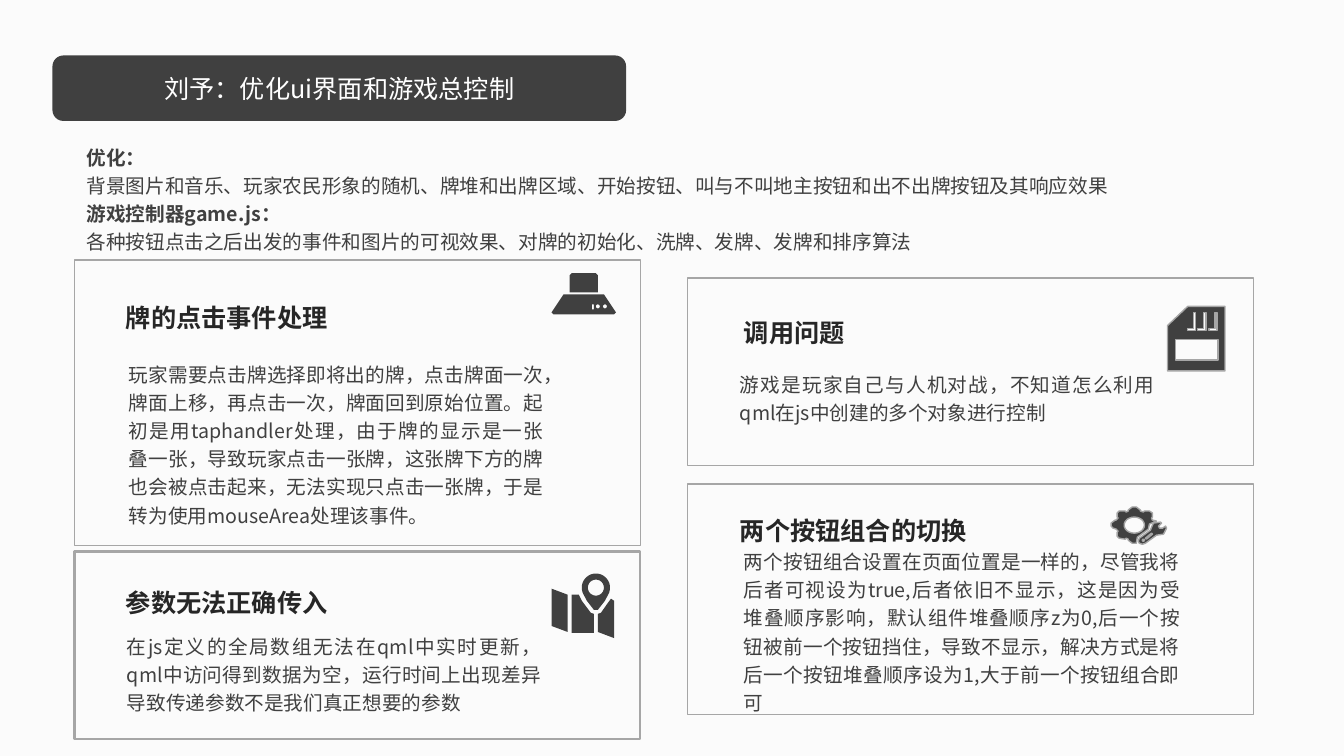
from math import cos, radians, sin

from lxml.etree import SubElement
from pptx import Presentation
from pptx.dml.color import RGBColor
from pptx.enum.shapes import MSO_SHAPE
from pptx.enum.text import MSO_ANCHOR, MSO_AUTO_SIZE, PP_ALIGN
from pptx.oxml.ns import qn
from pptx.util import Inches, Pt

FONT = "Noto Sans CJK SC"
PAPER = RGBColor(0xFB, 0xFB, 0xFB)
CHARCOAL = RGBColor(0x40, 0x40, 0x40)
INK = RGBColor(0x26, 0x26, 0x26)
BORDER = RGBColor(0xA6, 0xA6, 0xA6)
WHITE = RGBColor(0xFF, 0xFF, 0xFF)


def write(frame, lines, size=14, color=CHARCOAL, bold=(False,),
          align=PP_ALIGN.LEFT, spacing=1.2, anchor=MSO_ANCHOR.TOP):
    """Fill a text frame; the bold pattern repeats over the lines."""
    frame.word_wrap = True
    frame.auto_size = MSO_AUTO_SIZE.NONE
    frame.vertical_anchor = anchor
    for i, line in enumerate(lines):
        paragraph = frame.paragraphs[0] if i == 0 else frame.add_paragraph()
        paragraph.alignment = align
        paragraph.line_spacing = spacing
        paragraph.space_before = Pt(0)
        run = paragraph.add_run()
        run.text = line
        run.font.size = Pt(size)
        run.font.bold = bold[i % len(bold)]
        run.font.color.rgb = color
        run.font.name = FONT
        SubElement(run._r.get_or_add_rPr(), qn("a:ea"), typeface=FONT)


def text_box(slide, left, top, width, height, lines, **style):
    box = slide.shapes.add_textbox(*map(Inches, (left, top, width, height)))
    write(box.text_frame, lines, **style)


# Icon outlines, in inches from the icon's top left corner
def arc(x, y, rx, ry, start=0, end=360):
    steps = 24
    angles = [radians(start + (end - start) * i / steps) for i in range(steps + 1)]
    return [(x + rx * cos(a), y + ry * sin(a)) for a in angles]


def rectangle(left, top, right, bottom):
    return [(left, top), (right, top), (right, bottom), (left, bottom)]


def card_slot(x):
    return [(x - .02, .06), (x, .06), (x, .24), (x - .08, .24),
            (x - .08, .22), (x - .02, .22)]


SCANNER = [
    [(.18, .02), (.2, 0), (.44, 0), (.46, .02), (.46, .19), (.18, .19)],
    [(.12, .21), (.52, .21), (.54, .24), (.64, .39), (.62, .41), (.02, .41),
     (0, .39), (.1, .24)],
    rectangle(.4, .31, .42, .36),
    arc(.46, .33, .02, .02),
    arc(.53, .33, .02, .02),
]
MEMORY_CARD = [
    [(.2, 0), (.57, 0), (.57, .64), (0, .64), (0, .19)],
    *[card_slot(x) for x in (.28, .38, .49)],
    rectangle(.08, .33, .5, .53),
]
MAP = [
    [(0, .15), (.16, .21), (.16, .58), (0, .52)],
    [(.2, .21), (.27, .21), (.3, .27), (.39, .39), (.42, .4), (.42, .59), (.2, .59)],
    [(.46, .4), (.49, .39), (.56, .29), (.59, .25), (.62, .27), (.62, .64), (.46, .58)],
    arc(.44, .14, .14, .14, 150, 390) + [(.53, .27), (.46, .36), (.42, .36), (.35, .27)],
    arc(.44, .14, .08, .08),
]
GEAR_AND_WRENCH = [
    [(.21, 0), (.25, 0), (.29, .03), (.29, .04), (.32, .05), (.33, .04), (.38, .04),
     (.41, .06), (.41, .1), (.4, .11), (.41, .13), (.45, .14), (.38, .17), (.37, .22),
     (.26, .3), (.25, .36), (.21, .36), (.17, .33), (.17, .32), (.15, .31), (.14, .32),
     (.08, .31), (.06, .29), (.06, .25), (.07, .24), (.05, .22), (.02, .21), (0, .19),
     (0, .16), (.04, .13), (.05, .13), (.07, .11), (.06, .1), (.06, .06), (.08, .04),
     (.14, .04), (.15, .05), (.17, .04), (.17, .03)],
    arc(.23, .18, .1, .08),
    [(.49, .15), (.5, .16), (.47, .19), (.48, .21), (.51, .21), (.54, .19), (.55, .21),
     (.53, .25), (.52, .27), (.45, .28), (.34, .36), (.31, .37), (.28, .36), (.27, .34),
     (.28, .31), (.39, .23), (.41, .18), (.42, .16)],
    [(.4, .26), (.41, .27), (.35, .32), (.34, .31)],
    arc(.32, .33, .01, .01),
]


def icon(slide, left, top, outlines, outlined):
    units = 1000
    scaled = [[(x * units, y * units) for x, y in outline] for outline in outlines]
    builder = slide.shapes.build_freeform(*scaled[0][0], scale=Inches(1) / units)
    builder.add_line_segments(scaled[0][1:])
    for outline in scaled[1:]:
        builder.move_to(*outline[0])
        builder.add_line_segments(outline[1:])
    drawing = builder.convert_to_shape(Inches(left), Inches(top))
    drawing.shadow.inherit = False
    drawing.fill.solid()
    drawing.fill.fore_color.rgb = CHARCOAL
    if outlined:
        drawing.line.color.rgb = BORDER
        drawing.line.width = Pt(1)
    else:
        drawing.line.fill.background()


def title_bar(slide, left, top, width, height, text):
    bar = slide.shapes.add_shape(MSO_SHAPE.ROUNDED_RECTANGLE,
                                 *map(Inches, (left, top, width, height)))
    bar.shadow.inherit = False
    bar.fill.solid()
    bar.fill.fore_color.rgb = CHARCOAL
    bar.line.fill.background()
    title = slide.shapes.title
    title.left, title.top = bar.left, bar.top
    title.width, title.height = bar.width, bar.height
    # Bring the title in front of its bar
    bar._element.addnext(title._element)
    write(title.text_frame, [text], size=18, color=WHITE, spacing=1,
          align=PP_ALIGN.CENTER, anchor=MSO_ANCHOR.MIDDLE)


def card(slide, left, top, height, heading, heading_at, body, body_at,
         outlines, icon_at, outlined=False, border=1):
    """Bordered card; the *_at boxes are offsets from its top left corner."""
    frame = slide.shapes.add_shape(MSO_SHAPE.RECTANGLE,
                                   *map(Inches, (left, top, 5.61, height)))
    frame.shadow.inherit = False
    frame.fill.background()
    frame.line.color.rgb = BORDER
    frame.line.width = Pt(border)
    icon(slide, left + icon_at[0], top + icon_at[1], outlines, outlined)
    for lines, (x, y, w, h), style in (
            ([body], body_at, {}),
            ([heading], heading_at, {"size": 18, "color": INK, "bold": (True,)})):
        text_box(slide, left + x, top + y, w, h, lines, align=PP_ALIGN.JUSTIFY, **style)


def build_slide(slide):
    slide.background.fill.solid()
    slide.background.fill.fore_color.rgb = PAPER
    title_bar(slide, .52, .55, 5.69, .65, "刘予：优化ui界面和游戏总控制")

    # Summary of the work
    text_box(slide, .76, 1.35, 11.04, 1.23, [
        "优化：",
        "背景图片和音乐、玩家农民形象的随机、牌堆和出牌区域、开始按钮、叫与不叫地主按钮和出不出牌按钮及其响应效果",
        "游戏控制器game.js：",
        "各种按钮点击之后出发的事件和图片的可视效果、对牌的初始化、洗牌、发牌、发牌和排序算法",
    ], bold=(True, False))

    # Problem cards
    card(slide, 6.82, 2.76, 1.86,
         "调用问题", (.46, .28, 2.24, .46),
         "游戏是玩家自己与人机对战，不知道怎么利用qml在js中创建的多个对象进行控制",
         (.42, .84, 4.31, .66), MEMORY_CARD, (4.76, .28), outlined=True)
    card(slide, .74, 2.58, 2.83,
         "牌的点击事件处理", (.41, .31, 2.24, .45),
         "玩家需要点击牌选择即将出的牌，点击牌面一次，牌面上移，再点击一次，牌面回到原始位置。"
         "起初是用taphandler处理，由于牌的显示是一张叠一张，导致玩家点击一张牌，"
         "这张牌下方的牌也会被点击起来，无法实现只点击一张牌，于是转为使用mouseArea处理该事件。",
         (.44, .92, 4.31, 1.8), SCANNER, (4.73, .13))
    card(slide, 6.82, 4.8, 2.29,
         "两个按钮组合的切换", (.42, .2, 3.27, .46),
         "两个按钮组合设置在页面位置是一样的，尽管我将后者可视设为true,后者依旧不显示，"
         "这是因为受堆叠顺序影响，默认组件堆叠顺序z为0,后一个按钮被前一个按钮挡住，导致不显示，"
         "解决方式是将后一个按钮堆叠顺序设为1,大于前一个按钮组合即可",
         (.46, .56, 4.52, 1.16), GEAR_AND_WRENCH, (4.2, .23), outlined=True)
    card(slide, .74, 5.47, 1.86,
         "参数无法正确传入", (.41, .25, 2.24, .46),
         "在js定义的全局数组无法在qml中实时更新，qml中访问得到数据为空，"
         "运行时间上出现差异导致传递参数不是我们真正想要的参数",
         (.42, .73, 4.31, .95), MAP, (4.73, .22), border=1.75)


def main():
    deck = Presentation()
    deck.slide_width, deck.slide_height = Inches(13.33), Inches(7.5)
    build_slide(deck.slides.add_slide(deck.slide_layouts[5]))
    deck.save("out.pptx")


if __name__ == "__main__":
    main()
